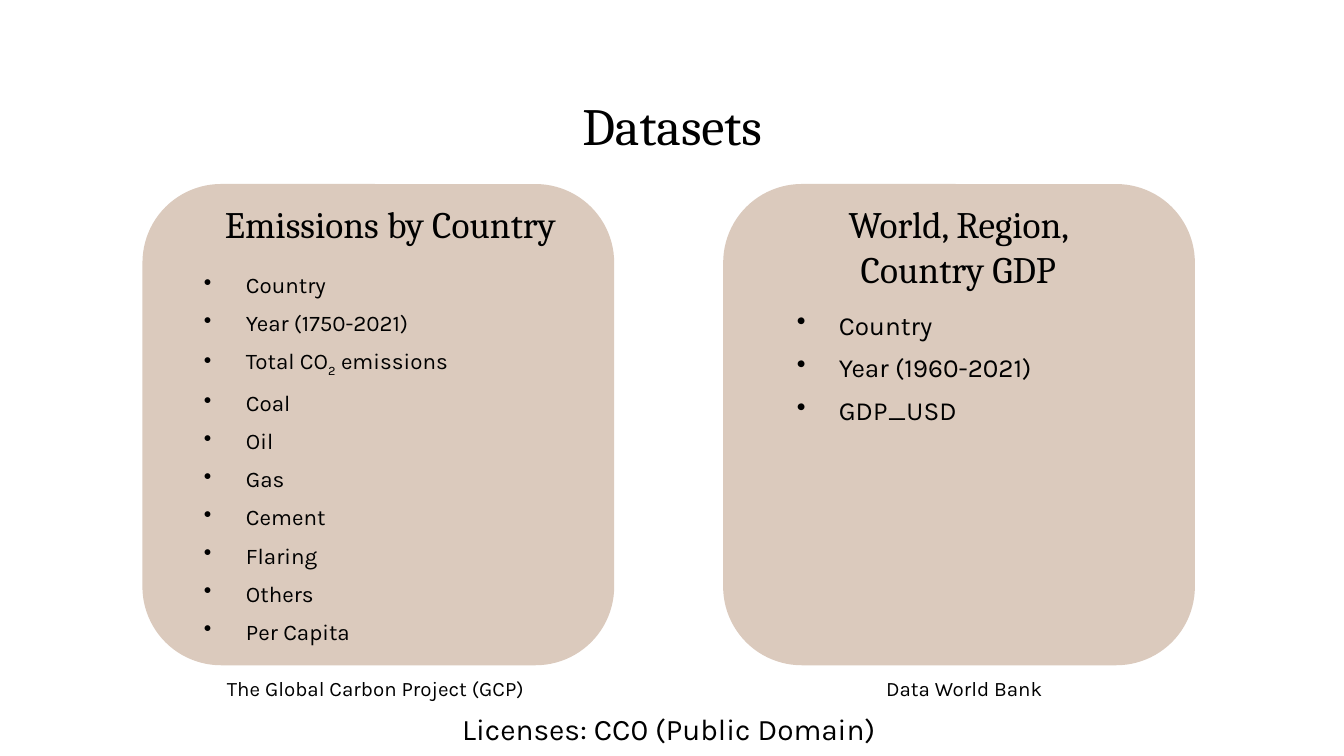
from lxml.etree import SubElement
from pptx import Presentation
from pptx.dml.color import RGBColor
from pptx.enum.shapes import MSO_SHAPE
from pptx.enum.text import MSO_ANCHOR, MSO_AUTO_SIZE, PP_ALIGN
from pptx.oxml.ns import qn
from pptx.util import Pt

BLACK = RGBColor(0x00, 0x00, 0x00)
SAND = RGBColor(0xDB, 0xCA, 0xBD)
SERIF = "Cambria"
SANS = "Karla"
INSET = Pt(7.2)
INDENT = Pt(22.5)
FRAME_FORMAT = {
    "word_wrap": True,
    "auto_size": MSO_AUTO_SIZE.NONE,
    "vertical_anchor": MSO_ANCHOR.TOP,
    "margin_left": INSET,
    "margin_right": INSET,
    "margin_top": INSET,
    "margin_bottom": INSET,
}

EMISSION_FIELDS = [
    ["Country"],
    ["Year (1750-2021)"],
    ["Total CO", "2", " emissions"],
    ["Coal"],
    ["Oil"],
    ["Gas"],
    ["Cement"],
    ["Flaring"],
    ["Others"],
    ["Per Capita"],
]
GDP_FIELDS = [["Country"], ["Year (1960-2021)"], ["GDP_USD"]]


def set_attributes(target, values):
    """Set every attribute named in a dict of format values."""
    for name, value in values.items():
        setattr(target, name, value)


def place(shape, area):
    """Move and size a shape to an area of left, top, width and height."""
    names = ("left", "top", "width", "height")
    set_attributes(shape, dict(zip(names, map(Pt, area))))


def add_bullet(para):
    """Give a paragraph a black round bullet with a hanging indent."""
    properties = para._p.get_or_add_pPr()
    properties.set("marL", str(INDENT))
    properties.set("indent", str(-INDENT))
    colour = SubElement(properties, qn("a:buClr"))
    SubElement(colour, qn("a:srgbClr")).set("val", str(BLACK))
    SubElement(properties, qn("a:buChar")).set("char", "•")


def write_paragraph(para, parts, font, size, align=PP_ALIGN.LEFT, after=0):
    """Write text parts into a paragraph, every second one as a subscript."""
    set_attributes(para, {"alignment": align, "space_after": Pt(after)})
    for index, part in enumerate(parts):
        span = para.add_run()
        span.text = part
        set_attributes(span.font, {"name": font, "size": Pt(size)})
        span.font.color.rgb = BLACK
        if index % 2:
            span.font._element.set("baseline", "-25000")


def add_box(page, area):
    """Add an empty text box."""
    box = page.shapes.add_textbox(*map(Pt, area))
    set_attributes(box.text_frame, FRAME_FORMAT)
    return box


def add_text(page, area, text, font, size, align=PP_ALIGN.CENTER, after=0):
    """Add a text box with one paragraph."""
    box = add_box(page, area)
    write_paragraph(box.text_frame.paragraphs[0], [text], font, size, align, after)


def add_list(page, area, items, size):
    """Add a bulleted list."""
    frame = add_box(page, area).text_frame
    for index, parts in enumerate(items):
        para = frame.add_paragraph() if index else frame.paragraphs[0]
        write_paragraph(para, parts, SANS, size, after=6)
        add_bullet(para)


def add_card(page, left):
    """Add a rounded card behind a dataset."""
    card = page.shapes.add_shape(
        MSO_SHAPE.ROUNDED_RECTANGLE, Pt(left), Pt(98.6), Pt(252.7), Pt(257.8)
    )
    card.shadow.inherit = False
    card.fill.solid()
    card.fill.fore_color.rgb = SAND
    card.line.fill.background()


def write_title(page, text):
    """Place and format the title placeholder."""
    title = page.shapes.title
    place(title, (56.2, 42.5, 607.7, 45.4))
    set_attributes(title.text_frame, FRAME_FORMAT)
    write_paragraph(
        title.text_frame.paragraphs[0], [text], SERIF, 28, PP_ALIGN.CENTER
    )


def main():
    """Build the datasets slide."""
    deck = Presentation()
    set_attributes(deck, {"slide_width": Pt(720), "slide_height": Pt(405)})
    page = deck.slides.add_slide(deck.slide_layouts[5])
    write_title(page, "Datasets")
    for left in (76.3, 387.4):
        add_card(page, left)

    add_text(page, (93.6, 100.8, 231.1, 31), "Emissions by Country", SERIF, 20)
    add_list(page, (102.2, 138.2, 193, 212.4), EMISSION_FIELDS, 12)
    add_text(page, (416.9, 100.8, 193, 31), "World, Region, Country GDP", SERIF, 20)
    add_list(page, (419.8, 158.4, 193, 203.8), GDP_FIELDS, 14)

    add_text(
        page, (240.5, 373.7, 238.3, 24.5), "Licenses: CC0 (Public Domain)",
        SANS, 16, PP_ALIGN.LEFT, 12,
    )
    add_text(
        page, (114.5, 355, 189.4, 36), "The Global Carbon Project (GCP)",
        SANS, 11, PP_ALIGN.LEFT, 6,
    )
    add_text(page, (421.9, 355, 189.4, 36), "Data World Bank", SANS, 11, after=6)
    deck.save("out.pptx")


if __name__ == "__main__":
    main()
